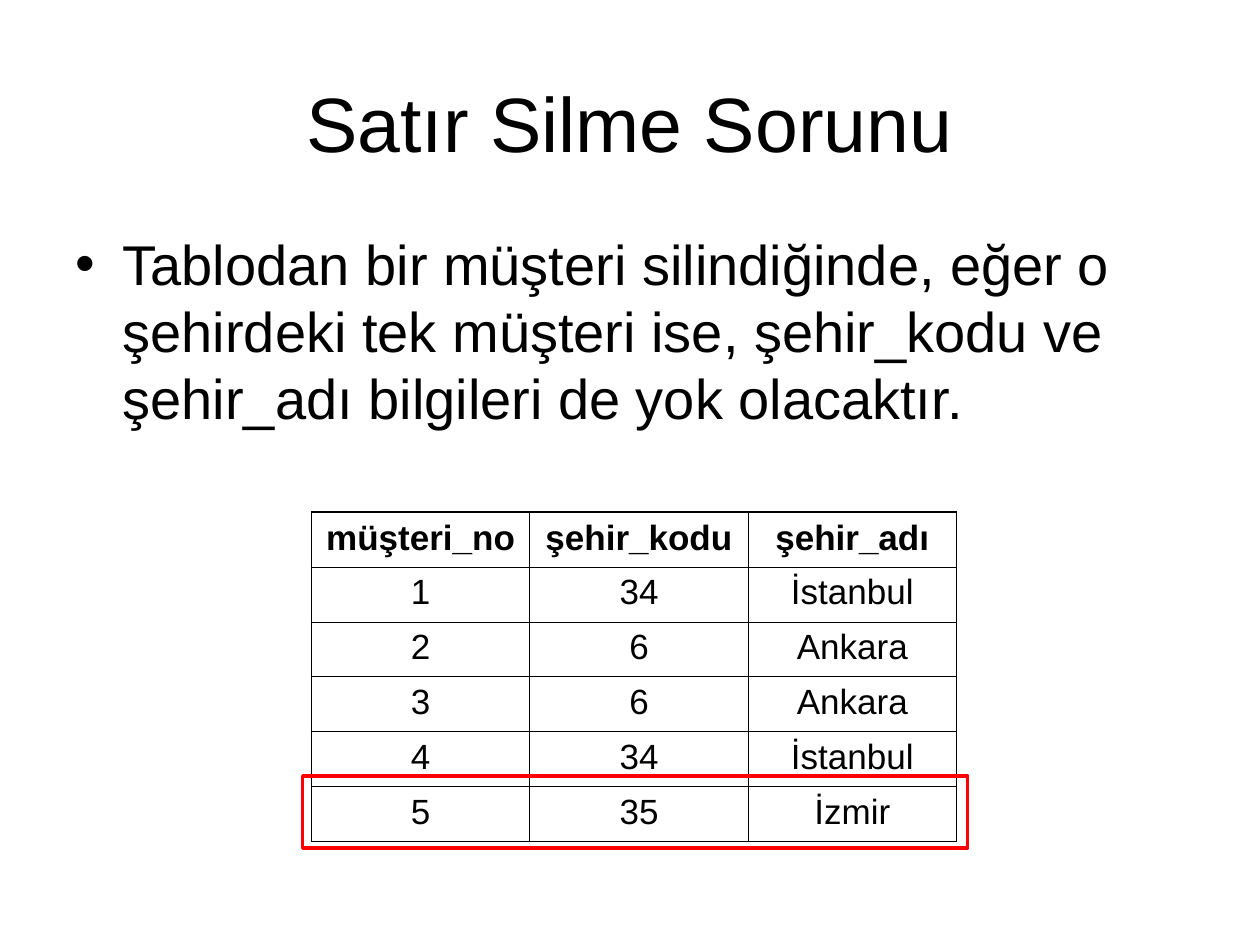
from lxml.etree import SubElement
from pptx import Presentation
from pptx.dml.color import RGBColor
from pptx.enum.shapes import MSO_SHAPE
from pptx.enum.text import MSO_ANCHOR, PP_ALIGN
from pptx.oxml.ns import qn
from pptx.util import Pt

BLACK = RGBColor(0x00, 0x00, 0x00)
RED = RGBColor(0xFF, 0x00, 0x00)
THIN, THICK = 0.45, 1.08


def write_text(frame, text, size, bold=False, align=PP_ALIGN.CENTER,
               anchor=MSO_ANCHOR.TOP, top=3.6, indent=0, line_spacing=None):
    """Fill a text frame with one paragraph; an indent makes it a bullet."""
    frame.word_wrap = True
    frame.vertical_anchor = anchor
    frame.margin_top = Pt(top)
    paragraph = frame.paragraphs[0]
    paragraph.text = text
    paragraph.alignment = align
    if line_spacing:
        paragraph.line_spacing = Pt(line_spacing)
    if indent:
        properties = paragraph._p.get_or_add_pPr()
        properties.set("marL", str(Pt(indent)))
        properties.set("indent", str(-Pt(indent)))
        SubElement(properties, qn("a:buFont")).set("typeface", "Arial")
        SubElement(properties, qn("a:buChar")).set("char", "•")
    font = paragraph.runs[0].font
    font.name, font.size, font.bold = "Arial", Pt(size), bold
    font.color.rgb = BLACK


def set_borders(cell, widths):
    """Draw black borders, given as left, right, top and bottom widths."""
    properties = cell._tc.get_or_add_tcPr()
    for index, (side, width) in enumerate(zip("LRTB", widths)):
        line = properties.makeelement(qn(f"a:ln{side}"), {"w": str(Pt(width))})
        fill = SubElement(line, qn("a:solidFill"))
        SubElement(fill, qn("a:srgbClr")).set("val", str(BLACK))
        properties.insert(index, line)


presentation = Presentation()
presentation.slide_width, presentation.slide_height = Pt(720), Pt(540)
slide = presentation.slides.add_slide(presentation.slide_layouts[6])

body = slide.shapes.add_textbox(Pt(36), Pt(126), Pt(648), Pt(150))
write_text(body.text_frame,
           "Tablodan bir müşteri silindiğinde, eğer o şehirdeki tek müşteri ise, "
           "şehir_kodu ve şehir_adı bilgileri de yok olacaktır.",
           size=32, align=PP_ALIGN.LEFT, top=5, indent=27, line_spacing=38.4)

title = slide.shapes.add_textbox(Pt(36), Pt(21.6), Pt(648), Pt(90))
write_text(title.text_frame, "Satır Silme Sorunu", size=44,
           anchor=MSO_ANCHOR.MIDDLE, top=9)

customers = [
    ("müşteri_no", "şehir_kodu", "şehir_adı"),
    ("1", "34", "İstanbul"),
    ("2", "6", "Ankara"),
    ("3", "6", "Ankara"),
    ("4", "34", "İstanbul"),
    ("5", "35", "İzmir"),
]
column_widths = [124.8, 124.8, 119]
row_height = 31.4
last_row, last_column = len(customers) - 1, len(column_widths) - 1
table = slide.shapes.add_table(
    len(customers), len(column_widths), Pt(178), Pt(292.6),
    Pt(sum(column_widths)), Pt(row_height * len(customers))).table
table.horz_banding = False
for column, width in zip(table.columns, column_widths):
    column.width = Pt(width)
for row_index, values in enumerate(customers):
    table.rows[row_index].height = Pt(row_height)
    for column_index, value in enumerate(values):
        cell = table.cell(row_index, column_index)
        write_text(cell.text_frame, value, size=20, bold=row_index == 0)
        cell.fill.background()
        outer_sides = (column_index == 0, column_index == last_column,
                       row_index == 0, row_index == last_row)
        set_borders(cell, [THICK if outer else THIN for outer in outer_sides])

deleted_row_frame = slide.shapes.add_shape(
    MSO_SHAPE.RECTANGLE, Pt(173), Pt(443.5), Pt(380), Pt(41))
deleted_row_frame.shadow.inherit = False
deleted_row_frame.fill.background()
deleted_row_frame.line.color.rgb = RED
deleted_row_frame.line.width = Pt(2)

presentation.save("out.pptx")
